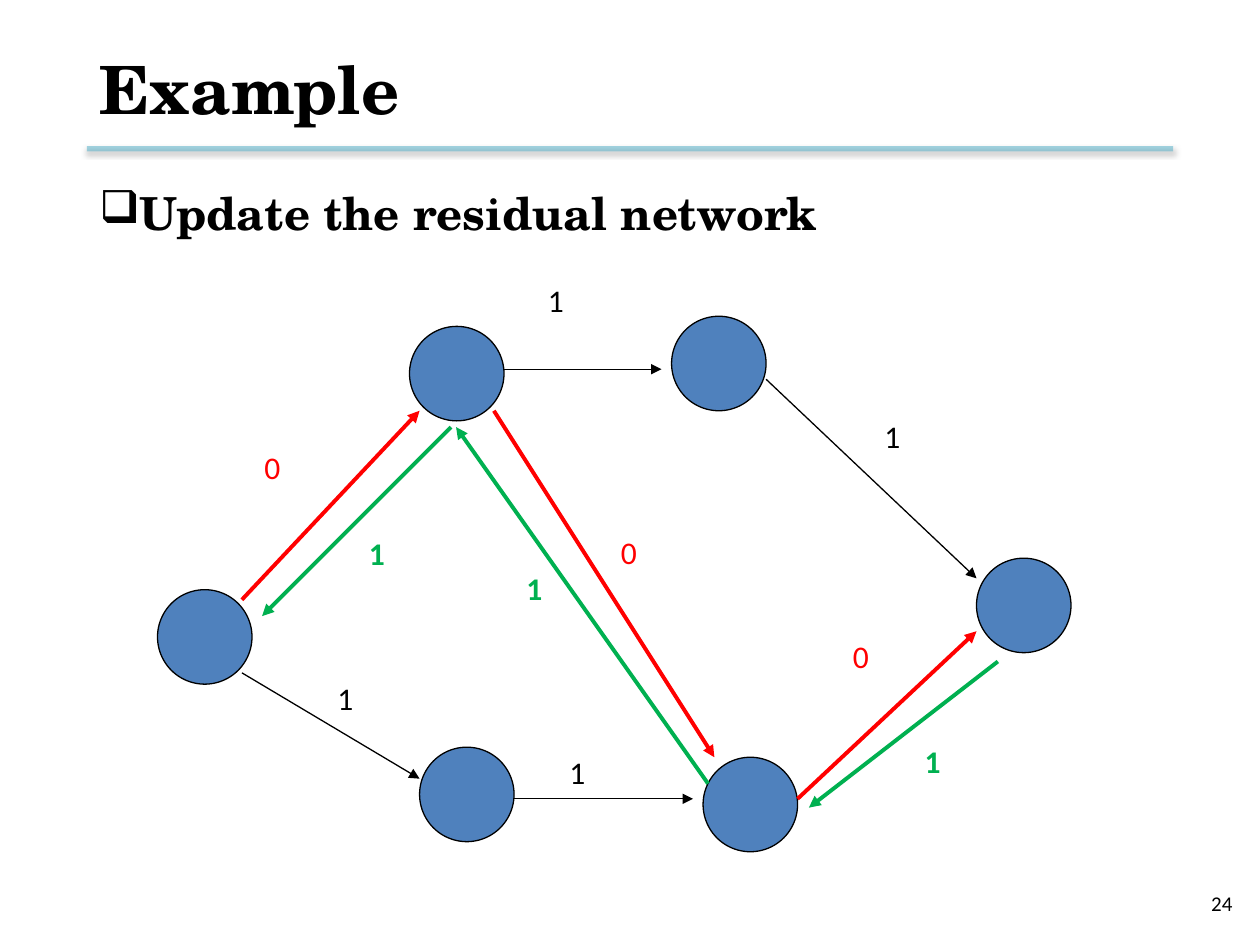
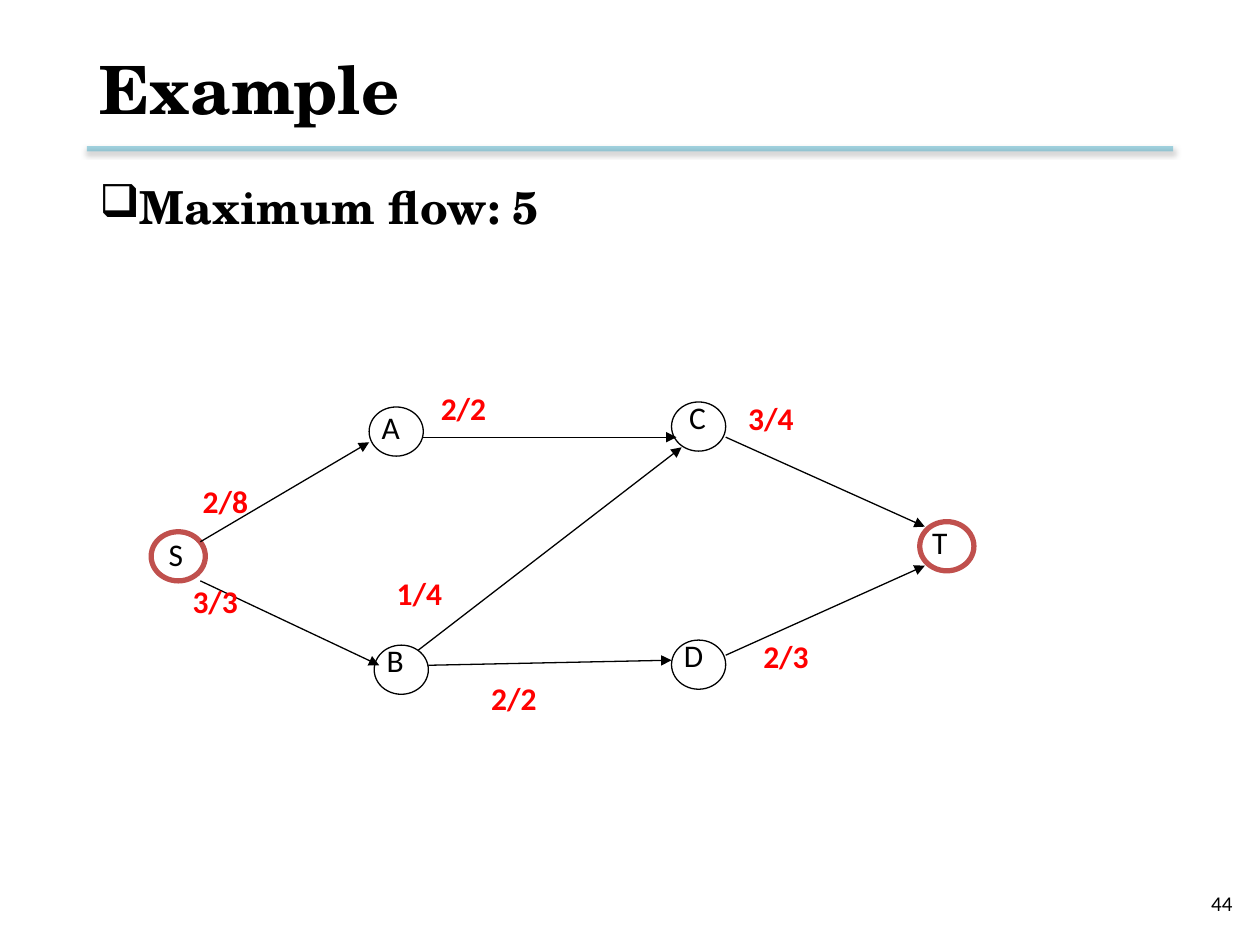
from typing import NamedTuple

from lxml.etree import SubElement
from pptx import Presentation
from pptx.dml.color import RGBColor
from pptx.enum.shapes import MSO_CONNECTOR, MSO_SHAPE
from pptx.enum.text import MSO_ANCHOR, PP_ALIGN
from pptx.oxml import parse_xml
from pptx.oxml.ns import nsdecls, qn
from pptx.util import Inches, Pt

BLACK = "000000"
WHITE = "FFFFFF"
RED = "FF0000"
GREEN = "00B050"
BLUE = "4F81BD"
BRICK = "C0504D"
TEAL = "4BACC6"
SERIF = "TeX Gyre Schola"
SANS = "Calibri"
LEFT, CONTENT_W = 0.69, 8.62
RULE_Y = 1.18


class Node(NamedTuple):
    x: float
    y: float
    line: str = BLACK
    weight: float = 0.75


class Edge(NamedTuple):
    x1: float
    y1: float
    x2: float
    y2: float
    color: str = BLACK
    weight: float = 0.75


class Label(NamedTuple):
    text: str
    x: float
    y: float
    color: str = BLACK
    bold: bool = False
    w: float = 0.67


class Graph(NamedTuple):
    page: int
    heading: str
    node_w: float
    node_h: float
    node_fill: str
    nodes: list[Node]
    edges: list[Edge]
    labels: list[Label]
    align: PP_ALIGN = PP_ALIGN.LEFT
    line_spacing: float = 1.0


RESIDUAL = Graph(
    24, "Update the residual network", 0.75, 0.75, BLUE,
    nodes=[Node(1.25, 4.68), Node(3.33, 5.93), Node(3.25, 2.59),
           Node(7.75, 4.43), Node(5.58, 6.01), Node(5.33, 2.51)],
    edges=[
        Edge(1.92, 4.76, 3.33, 3.26, RED, 2.25),
        Edge(1.92, 5.34, 3.33, 6.18),
        Edge(4, 2.93, 5.25, 2.93),
        Edge(4.08, 6.34, 5.5, 6.34),
        Edge(3.92, 3.26, 5.67, 6.01, RED, 2.25),
        Edge(6.08, 3.01, 7.75, 4.59),
        Edge(6.33, 6.34, 7.75, 5.01, RED, 2.25),
        Edge(3.58, 3.39, 2.08, 4.89, GREEN, 2.25),
        Edge(5.62, 6.22, 3.62, 3.39, GREEN, 2.25),
        Edge(7.92, 5.25, 6.42, 6.41, GREEN, 2.25),
    ],
    labels=[
        Label("0", 2, 3.51, RED),
        Label("0", 6.67, 5.01, RED),
        Label("0", 4.83, 4.18, RED),
        Label("1", 2.58, 5.34, w=0.42),
        Label("1", 4.42, 5.93, w=0.5),
        Label("1", 4.25, 2.18, w=0.83),
        Label("1", 6.92, 3.26),
        Label("1", 2.83, 4.19, GREEN, True, 0.58),
        Label("1", 4.08, 4.47, GREEN, True, 0.58),
        Label("1", 7.24, 5.84, GREEN, True, 0.58),
    ],
)

MAX_FLOW = Graph(
    44, "Maximum flow: 5", 0.43, 0.39, WHITE,
    nodes=[Node(7.3, 4.14, BRICK, 3), Node(5.33, 5.08), Node(5.33, 3.19),
           Node(2.97, 5.12), Node(2.93, 3.23), Node(1.2, 4.22, BRICK, 3)],
    edges=[
        Edge(1.59, 4.3, 2.93, 3.51),
        Edge(1.59, 4.61, 3.01, 5.28),
        Edge(3.36, 3.47, 5.37, 3.47),
        Edge(3.4, 5.28, 5.33, 5.24),
        Edge(5.76, 5.2, 7.34, 4.49),
        Edge(5.76, 3.47, 7.34, 4.18),
        Edge(3.32, 5.16, 5.41, 3.55),
    ],
    labels=[
        Label("S", 1.24, 4.2, w=0.43),
        Label("A", 2.93, 3.19, w=0.43),
        Label("D", 5.33, 5, w=0.43),
        Label("B", 2.97, 5.04, w=0.43),
        Label("C", 5.37, 3.11, w=0.39),
        Label("T", 7.3, 4.1, w=0.43),
        Label("2/8", 1.51, 3.78, RED, True),
        Label("2/2", 3.4, 3.04, RED, True, 0.87),
        Label("3/4", 5.84, 3.12, RED, True),
        Label("2/3", 5.96, 5.01, RED, True, 0.83),
        Label("1/4", 3.05, 4.51, RED, True, 0.91),
        Label("2/2", 3.8, 5.34, RED, True, 0.94),
        Label("3/3", 1.43, 4.57, RED, True),
    ],
    align=PP_ALIGN.JUSTIFY,
    line_spacing=0.9,
)


def rgb(color: str) -> RGBColor:
    return RGBColor.from_string(color)


def add_text(s, text: str, x: float, y: float, w: float, h: float, size: float,
             font: str = SANS, color: str = BLACK, bold: bool = False,
             anchor=MSO_ANCHOR.TOP, align=PP_ALIGN.LEFT, bullet: str = ""):
    tf = s.shapes.add_textbox(Inches(x), Inches(y), Inches(w), Inches(h)).text_frame
    tf.word_wrap = True
    tf.vertical_anchor = anchor
    p = tf.paragraphs[0]
    p.text = text
    p.alignment = align
    if bullet:
        pPr = p._p.get_or_add_pPr()
        pPr.set("marL", str(Inches(0.25)))
        pPr.set("indent", str(Inches(-0.45)))
        SubElement(pPr, qn("a:buChar"), char=bullet)
    f = p.runs[0].font
    f.size, f.name, f.bold = Pt(size), font, bold
    f.color.rgb = rgb(color)
    return p


def add_line(s, edge: Edge):
    c = s.shapes.add_connector(
        MSO_CONNECTOR.STRAIGHT, Inches(edge.x1), Inches(edge.y1),
        Inches(edge.x2), Inches(edge.y2))
    c.line.color.rgb = rgb(edge.color)
    c.line.width = Pt(edge.weight)
    return c


def add_arrow(s, edge: Edge) -> None:
    c = add_line(s, edge)
    SubElement(c.line._get_or_add_ln(), qn("a:tailEnd"), type="triangle")
    SubElement(c._element.spPr, qn("a:effectLst"))


def add_title_rule(s) -> None:
    c = add_line(s, Edge(LEFT, RULE_Y, LEFT + CONTENT_W, RULE_Y, TEAL, 3))
    clr = c.line._get_or_add_ln().find(".//" + qn("a:srgbClr"))
    SubElement(clr, qn("a:alpha"), val="50000")
    c._element.spPr.append(parse_xml(
        f'<a:effectLst {nsdecls("a")}>'
        f'<a:outerShdw blurRad="{Pt(3.1)}" dist="{Pt(1.6)}" dir="5400000" rotWithShape="0">'
        f'<a:srgbClr val="{BLACK}"><a:alpha val="38000"/></a:srgbClr>'
        '</a:outerShdw></a:effectLst>'))


def add_node(s, node: Node, graph: Graph) -> None:
    sp = s.shapes.add_shape(MSO_SHAPE.OVAL, Inches(node.x), Inches(node.y),
                            Inches(graph.node_w), Inches(graph.node_h))
    sp.shadow.inherit = False
    sp.fill.solid()
    sp.fill.fore_color.rgb = rgb(graph.node_fill)
    sp.line.color.rgb = rgb(node.line)
    sp.line.width = Pt(node.weight)


def add_graph_slide(prs, graph: Graph) -> None:
    s = prs.slides.add_slide(prs.slide_layouts[6])
    add_title_rule(s)
    add_text(s, str(graph.page), 7.55, 6.97, 2.33, 0.4, 12,
             anchor=MSO_ANCHOR.MIDDLE, align=PP_ALIGN.RIGHT)
    add_text(s, "Example", LEFT, 0.17, CONTENT_W, 1.06, 38, SERIF, bold=True,
             anchor=MSO_ANCHOR.MIDDLE)
    p = add_text(s, graph.heading, LEFT, 1.42, CONTENT_W, 0.73, 26, SERIF,
                 bold=True, align=graph.align, bullet="❑")
    p.line_spacing = graph.line_spacing
    for node in graph.nodes:
        add_node(s, node, graph)
    for edge in graph.edges:
        add_arrow(s, edge)
    for label in graph.labels:
        add_text(s, label.text, label.x, label.y, label.w, 0.4, 18,
                 color=label.color, bold=label.bold)


def main() -> None:
    prs = Presentation()
    prs.slide_width, prs.slide_height = Inches(10), Inches(7.5)
    for graph in (RESIDUAL, MAX_FLOW):
        add_graph_slide(prs, graph)
    prs.save("out.pptx")


if __name__ == "__main__":
    main()
